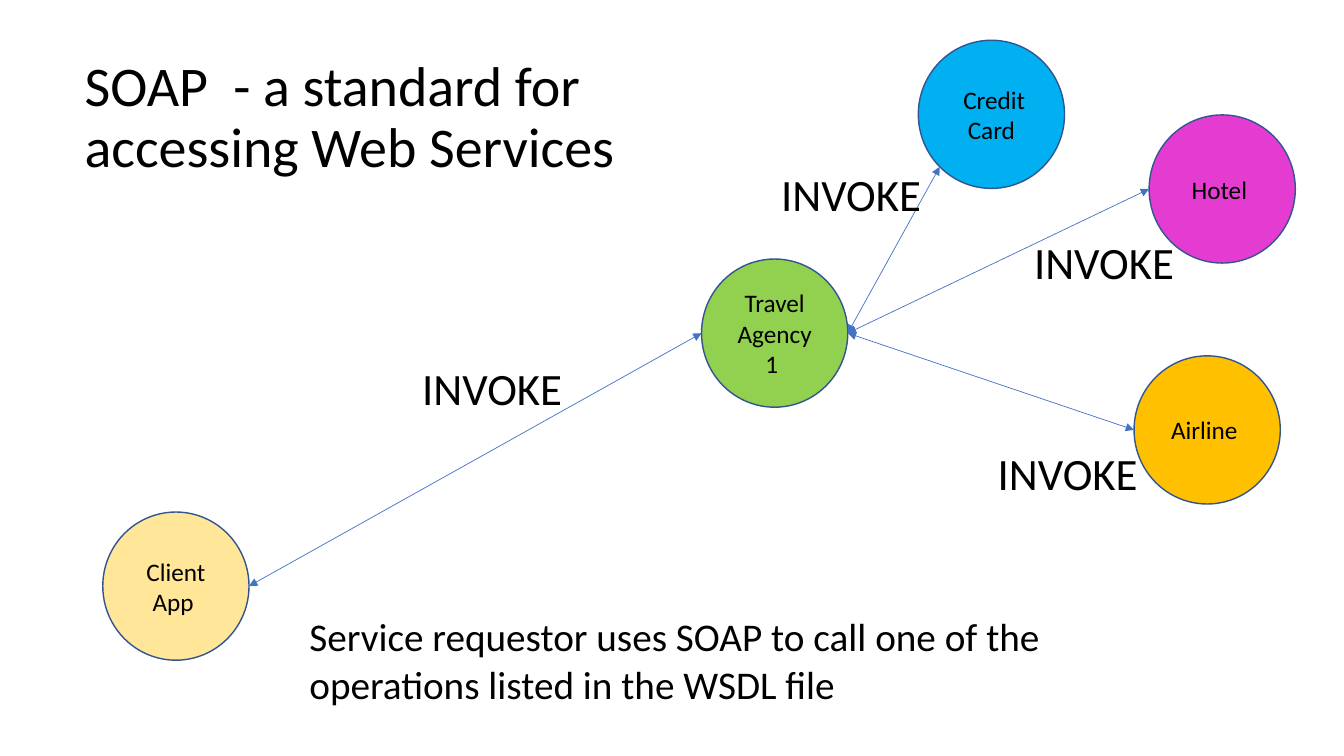
from math import cos, radians, sin

from lxml import etree
from pptx import Presentation
from pptx.dml.color import RGBColor
from pptx.enum.shapes import MSO_CONNECTOR, MSO_SHAPE
from pptx.enum.text import MSO_ANCHOR, MSO_AUTO_SIZE, PP_ALIGN
from pptx.oxml.ns import qn
from pptx.util import Inches, Pt

CIRCLE = MSO_SHAPE.FLOWCHART_CONNECTOR
STRAIGHT = MSO_CONNECTOR.STRAIGHT
LEFT, CENTER = PP_ALIGN.LEFT, PP_ALIGN.CENTER
TOP, MIDDLE = MSO_ANCHOR.TOP, MSO_ANCHOR.MIDDLE
NO_FIT, GROW = MSO_AUTO_SIZE.NONE, MSO_AUTO_SIZE.SHAPE_TO_FIT_TEXT

BLACK = RGBColor(0x00, 0x00, 0x00)
OUTLINE = RGBColor(0x32, 0x54, 0x91)
ARROW = RGBColor(0x44, 0x72, 0xC4)
GREEN = RGBColor(0x92, 0xD0, 0x50)
AMBER = RGBColor(0xFF, 0xC0, 0x00)
MAGENTA = RGBColor(0xE4, 0x3C, 0xD0)
SKY = RGBColor(0x00, 0xB0, 0xF0)
CREAM = RGBColor(0xFF, 0xE6, 0x99)

# Angles on a circle, clockwise from its right-hand point
RIGHT_SIDE, LOWER_LEFT, LEFT_SIDE = 0, 135, 180


class SlideBuilder:
    """Holds the style and the slide; lengths are percent of the slide's size."""

    font = "Calibri"
    circle_size = (10.88, 19.6)
    label_size = (14.55, 8.53)

    def __init__(self, presentation):
        """Add a title-only slide."""
        self.column = presentation.slide_width / 100
        self.row = presentation.slide_height / 100
        self.slide = presentation.slides.add_slide(presentation.slide_layouts[5])

    def scale(self, *lengths):
        """Turn alternating column and row lengths into slide units."""
        return [round(length * (self.row if index % 2 else self.column))
                for index, length in enumerate(lengths)]

    def add_words(self, shape, text, size, alignment=LEFT, anchor=TOP):
        """Put one formatted run in a shape and return its paragraph."""
        frame = shape.text_frame
        frame.word_wrap = True
        frame.vertical_anchor = anchor
        paragraph = frame.paragraphs[0]
        paragraph.alignment = alignment
        run = paragraph.add_run()
        run.text = text
        run.font.name = self.font
        run.font.size = Pt(size)
        run.font.color.rgb = BLACK
        return paragraph

    def title(self, text, *box):
        """Place and format the title placeholder."""
        shape = self.slide.shapes.title
        shape.left, shape.top, shape.width, shape.height = self.scale(*box)
        shape.text_frame.auto_size = NO_FIT
        paragraph = self.add_words(shape, text, 40)
        paragraph.line_spacing = 0.9
        paragraph.space_before = Pt(10)

    def circle(self, text, color, left, top):
        """Draw one participant as a labelled circle."""
        box = self.scale(left, top, *self.circle_size)
        shape = self.slide.shapes.add_shape(CIRCLE, *box)
        shape.shadow.inherit = False
        shape.fill.solid()
        shape.fill.fore_color.rgb = color
        shape.line.color.rgb = OUTLINE
        shape.line.width = Pt(1)
        self.add_words(shape, text, 18, CENTER, MIDDLE)
        return shape

    def rim(self, circle, angle):
        """Return the point of a circle's outline at an angle."""
        across, down = circle.width / 2, circle.height / 2
        return (round(circle.left + across * (1 + cos(radians(angle)))),
                round(circle.top + down * (1 + sin(radians(angle)))))

    def arrow(self, source, target, target_angle):
        """Join a circle's right side to another circle, with two arrowheads."""
        start = self.rim(source, RIGHT_SIDE)
        end = self.rim(target, target_angle)
        connector = self.slide.shapes.add_connector(STRAIGHT, *start, *end)
        connector.line.color.rgb = ARROW
        connector.line.width = Pt(0.5)
        properties = connector._element.spPr
        line = properties.find(qn("a:ln"))
        for tag in ("a:headEnd", "a:tailEnd"):
            etree.SubElement(line, qn(tag), type="triangle")
        etree.SubElement(properties, qn("a:effectLst"))

    def text(self, text, size, *box):
        """Add a text box that grows with its text; return its paragraph."""
        shape = self.slide.shapes.add_textbox(*self.scale(*box))
        shape.text_frame.auto_size = GROW
        return self.add_words(shape, text, size)

    def label(self, text, left, top):
        """Name the call beside an arrow."""
        self.text(text, 32, left, top, *self.label_size)

    def note(self, text, *box):
        """Add the indented explanation."""
        paragraph = self.text(text, 28, *box)
        paragraph.level = 1
        properties = paragraph._p.get_or_add_pPr()
        properties.set("marL", str(Inches(0.5)))
        properties.set("indent", "0")


def main():
    """Build and save the slide."""
    presentation = Presentation()
    presentation.slide_width = Inches(13.33)
    presentation.slide_height = Inches(7.5)
    builder = SlideBuilder(presentation)

    agency = builder.circle("Travel Agency 1 ", GREEN, 52.2, 34.27)
    airline = builder.circle("Airline ", AMBER, 84.38, 47.07)
    hotel = builder.circle("Hotel ", MAGENTA, 85.5, 15.2)
    credit_card = builder.circle(" Credit Card", SKY, 68.33, 5.33)
    client = builder.circle("Client App ", CREAM, 7.65, 67.73)

    builder.arrow(client, agency, LEFT_SIDE)
    builder.arrow(agency, credit_card, LOWER_LEFT)
    builder.arrow(agency, hotel, LEFT_SIDE)
    builder.arrow(agency, airline, LEFT_SIDE)

    builder.title("SOAP  - a standard for accessing Web Services",
                  5.55, 7.07, 50.85, 32.13)
    for left, top in ((57.38, 21.33), (73.5, 58.27), (76.2, 30.4), (30.68, 47.07)):
        builder.label("INVOKE", left, top)
    builder.note("Service requestor uses SOAP to call one of the operations "
                 "listed in the WSDL file", 18.53, 80.4, 66.38, 13.87)

    presentation.save("out.pptx")


main()
